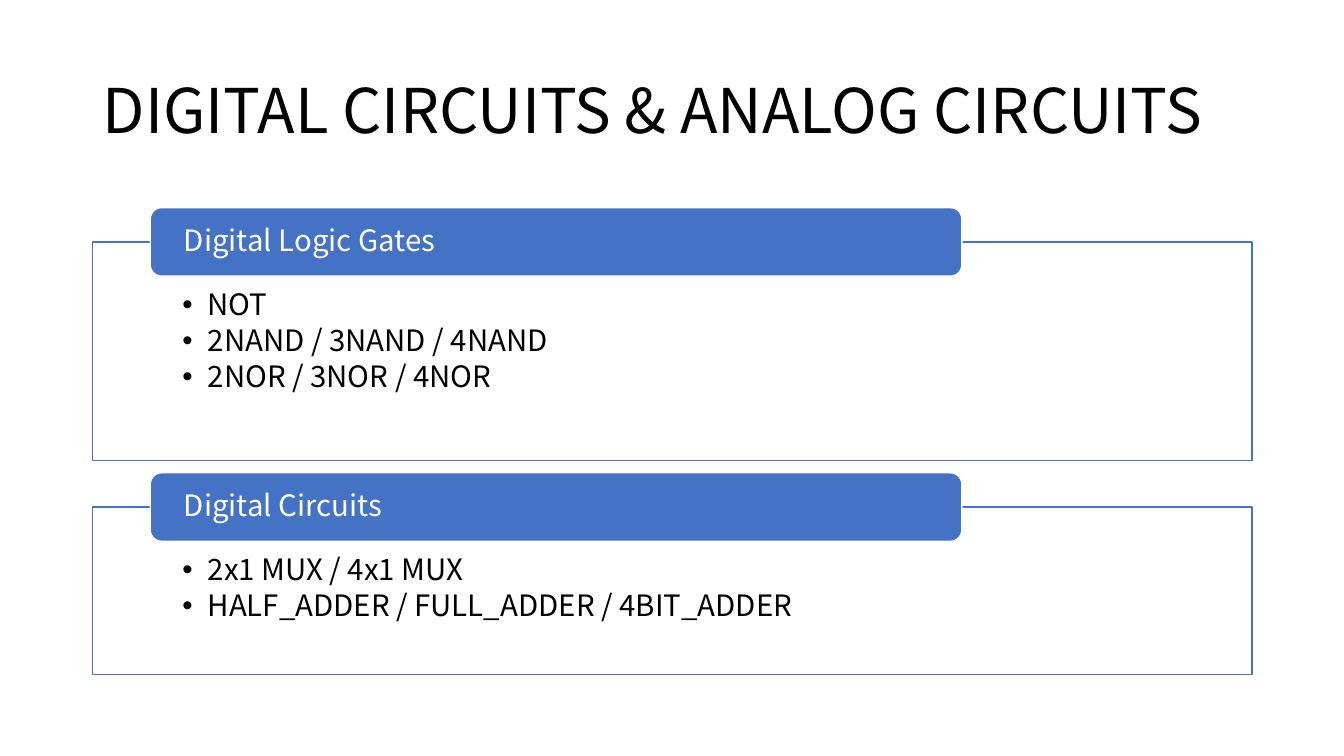
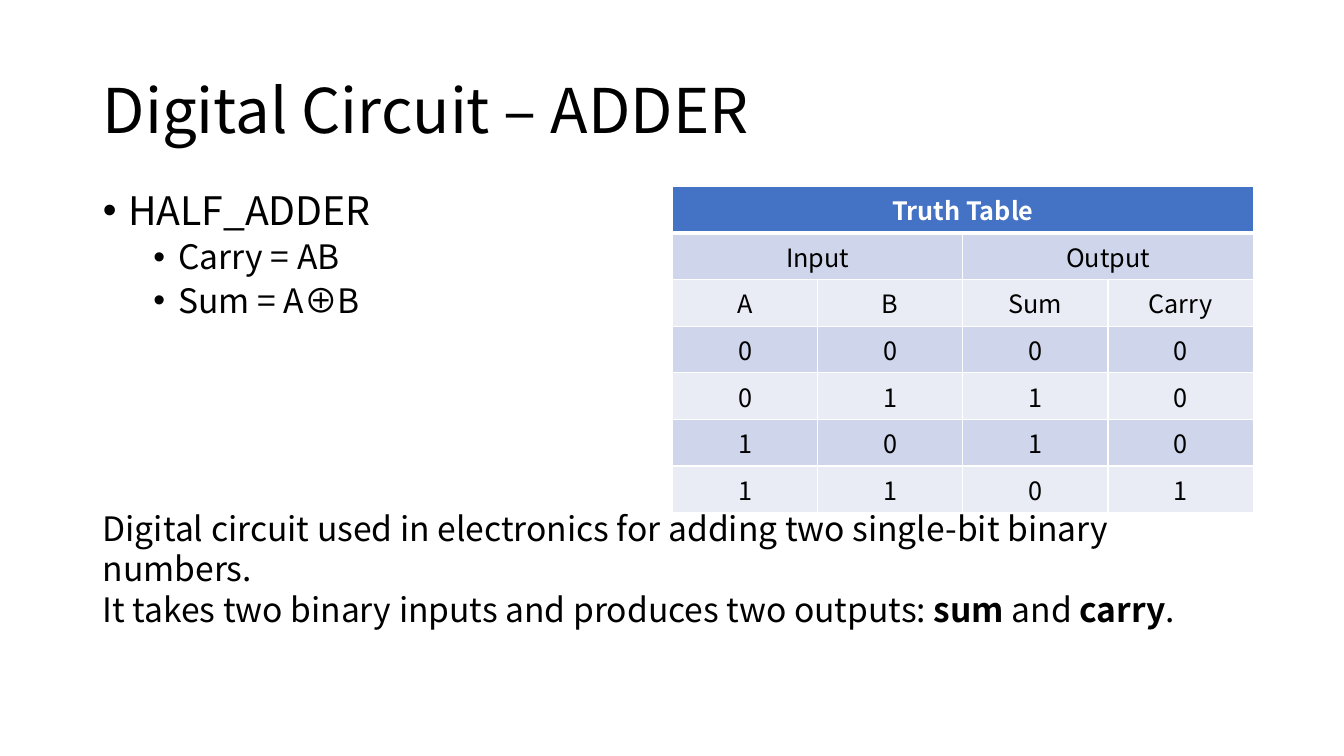
import dataclasses
import typing

import lxml.etree
import pptx
import pptx.dml.color
import pptx.enum.shapes
import pptx.enum.text
import pptx.oxml.ns
import pptx.util

Inches = pptx.util.Inches
Pt = pptx.util.Pt
RGBColor = pptx.dml.color.RGBColor
Align = pptx.enum.text.PP_ALIGN
Anchor = pptx.enum.text.MSO_ANCHOR
Shape = pptx.enum.shapes.MSO_SHAPE

BLUE = RGBColor(0x44, 0x72, 0xC4)
WHITE = RGBColor(0xFF, 0xFF, 0xFF)
BLACK = RGBColor(0x00, 0x00, 0x00)
DARK = RGBColor(0xCF, 0xD5, 0xEA)
PALE = RGBColor(0xE9, 0xEB, 0xF5)
FONT = "Noto Sans CJK KR"
LEFT = 0.92
WIDTH = 11.5


@dataclasses.dataclass
class Group:
    head: str
    top: float
    height: float
    items: list[str]


@dataclasses.dataclass
class Item:
    text: str
    size: float
    level: int = 0
    before: float = 0


GROUPS = [
    Group("Digital Logic Gates", 2.4, 2.17,
          ["NOT", "2NAND / 3NAND / 4NAND", "2NOR / 3NOR / 4NOR"]),
    Group("Digital Circuits", 5.03, 1.66,
          ["2x1 MUX / 4x1 MUX", "HALF_ADDER / FULL_ADDER / 4BIT_ADDER"]),
]
ADDER = [
    Item("HALF_ADDER", 28),
    Item("Carry = AB", 24, level=1, before=5),
    Item("Sum = A⊕B", 24, level=1, before=5),
]
TRUTH = [
    ["Truth Table", "", "", ""],
    ["Input", "", "Output", ""],
    ["A", "B", "Sum", "Carry"],
    ["0", "0", "0", "0"],
    ["0", "1", "1", "0"],
    ["1", "0", "1", "0"],
    ["1", "1", "0", "1"],
]
SPANS = [(0, 0, 3), (1, 0, 1), (1, 2, 3)]
NOTES = [
    [("Digital circuit used in electronics for adding two single-bit binary numbers.", False)],
    [("It takes two binary inputs and produces two outputs: ", False), ("sum", True),
     (" and ", False), ("carry", True), (".", False)],
]


def place(shape: typing.Any, left: float, top: float, width: float, height: float) -> None:
    shape.left, shape.top = Inches(left), Inches(top)
    shape.width, shape.height = Inches(width), Inches(height)


def next_para(frame: typing.Any) -> typing.Any:
    """Return the first paragraph while it is empty, else a new one."""
    first = frame.paragraphs[0]
    return frame.add_paragraph() if first.runs else first


def write(para: typing.Any, text: str, *, size: float, color: RGBColor = BLACK,
          bold: bool = False, align: Align = Align.LEFT, line: float | None = None,
          before: float = 0, after: float = 0, indent: float | None = None) -> None:
    """Add a run; an indent gives the paragraph a hanging bullet."""
    if indent is not None:
        props = para._p.get_or_add_pPr()
        props.set("marL", str(Inches(indent)))
        props.set("indent", str(Inches(-0.25)))
        for tag, key, value in (("a:buFont", "typeface", "Arial"), ("a:buChar", "char", "•")):
            mark = lxml.etree.SubElement(props, pptx.oxml.ns.qn(tag))
            mark.set(key, value)
    para.alignment = align
    para.space_before, para.space_after = Pt(before), Pt(after)
    if line is not None:
        para.line_spacing = line
    run = para.add_run()
    run.text = text
    run.font.name, run.font.size = FONT, Pt(size)
    run.font.bold, run.font.color.rgb = bold, color


def set_frame(frame: typing.Any, anchor: Anchor = Anchor.TOP,
              left: float = 0.1, top: float = 0.05, bottom: float = 0.05) -> None:
    frame.word_wrap = True
    frame.auto_size = pptx.enum.text.MSO_AUTO_SIZE.NONE
    frame.vertical_anchor = anchor
    frame.margin_left = frame.margin_right = Inches(left)
    frame.margin_top, frame.margin_bottom = Inches(top), Inches(bottom)


def add_slide(deck: typing.Any, layout: int, title: str) -> typing.Any:
    slide = deck.slides.add_slide(deck.slide_layouts[layout])
    place(slide.shapes.title, LEFT, 0.4, WIDTH, 1.45)
    frame = slide.shapes.title.text_frame
    set_frame(frame, Anchor.MIDDLE)
    write(frame.paragraphs[0], title, size=44, line=0.9)
    return slide


def add_box(slide: typing.Any, kind: Shape, fill: RGBColor, edge: RGBColor,
            left: float, top: float, width: float, height: float) -> typing.Any:
    box = slide.shapes.add_shape(kind, Inches(left), Inches(top), Inches(width), Inches(height))
    box.shadow.inherit = False
    box.fill.solid()
    box.fill.fore_color.rgb = fill
    box.line.color.rgb, box.line.width = edge, Pt(1)
    return box


def add_group(slide: typing.Any, group: Group) -> None:
    """Draw a framed list with its heading over the top edge."""
    frame = add_box(slide, Shape.RECTANGLE, WHITE, BLUE,
                    LEFT, group.top, WIDTH, group.height).text_frame
    set_frame(frame, left=0.89, top=0.48, bottom=0.16)
    for item in group.items:
        write(next_para(frame), item, size=21, line=0.9, after=3, indent=0.25)
    head = add_box(slide, Shape.ROUNDED_RECTANGLE, BLUE, WHITE,
                   1.49, group.top - 0.34, 8.05, 0.68).text_frame
    set_frame(head, Anchor.MIDDLE, left=0.3, top=0, bottom=0)
    write(head.paragraphs[0], group.head, size=21, color=WHITE, line=0.9)


def set_edges(cell: typing.Any, top: float, bottom: float) -> None:
    """Give a cell white borders, with top and bottom widths in points."""
    props = cell._tc.get_or_add_tcPr()
    edges = (("a:lnL", 1), ("a:lnR", 1), ("a:lnT", top), ("a:lnB", bottom))
    for spot, (tag, width) in enumerate(edges):
        edge = lxml.etree.Element(pptx.oxml.ns.qn(tag), w=str(Pt(width)))
        fill = lxml.etree.SubElement(edge, pptx.oxml.ns.qn("a:solidFill"))
        lxml.etree.SubElement(fill, pptx.oxml.ns.qn("a:srgbClr"), val=str(WHITE))
        props.insert(spot, edge)


def add_truth(slide: typing.Any) -> None:
    rows, cols = len(TRUTH), len(TRUTH[0])
    table = slide.shapes.add_table(rows, cols, Inches(6.67), Inches(1.85),
                                   Inches(1.44 * cols), Inches(0.41 * rows)).table
    for row, texts in enumerate(TRUTH):
        for col, text in enumerate(texts):
            cell = table.cell(row, col)
            cell.fill.solid()
            cell.fill.fore_color.rgb = BLUE if row == 0 else DARK if row % 2 else PALE
            set_edges(cell, 3 if row == 1 else 1, 3 if row == 0 else 1)
            if text:
                write(cell.text_frame.paragraphs[0], text, size=18, align=Align.CENTER,
                      bold=row == 0, color=WHITE if row == 0 else BLACK)
    for row, start, end in SPANS:
        table.cell(row, start).merge(table.cell(row, end))


def add_notes(slide: typing.Any) -> None:
    box = slide.shapes.add_textbox(Inches(LEFT), Inches(4.99), Inches(11.64), Inches(0.91))
    set_frame(box.text_frame)
    for parts in NOTES:
        para = next_para(box.text_frame)
        for text, bold in parts:
            write(para, text, size=24, bold=bold)


def main() -> None:
    deck = pptx.Presentation()
    deck.slide_width, deck.slide_height = Inches(13.33), Inches(7.5)

    slide = add_slide(deck, 5, "DIGITAL CIRCUITS & ANALOG CIRCUITS")
    for group in GROUPS:
        add_group(slide, group)

    slide = add_slide(deck, 1, "Digital Circuit – ADDER")
    body = slide.placeholders[1]
    place(body, LEFT, 1.85, 3.49, 1.83)
    set_frame(body.text_frame)
    for item in ADDER:
        para = next_para(body.text_frame)
        para.level = item.level
        write(para, item.text, size=item.size, line=0.9, before=item.before,
              indent=0.25 + 0.5 * item.level)
    add_truth(slide)
    add_notes(slide)

    deck.save("out.pptx")


if __name__ == "__main__":
    main()
